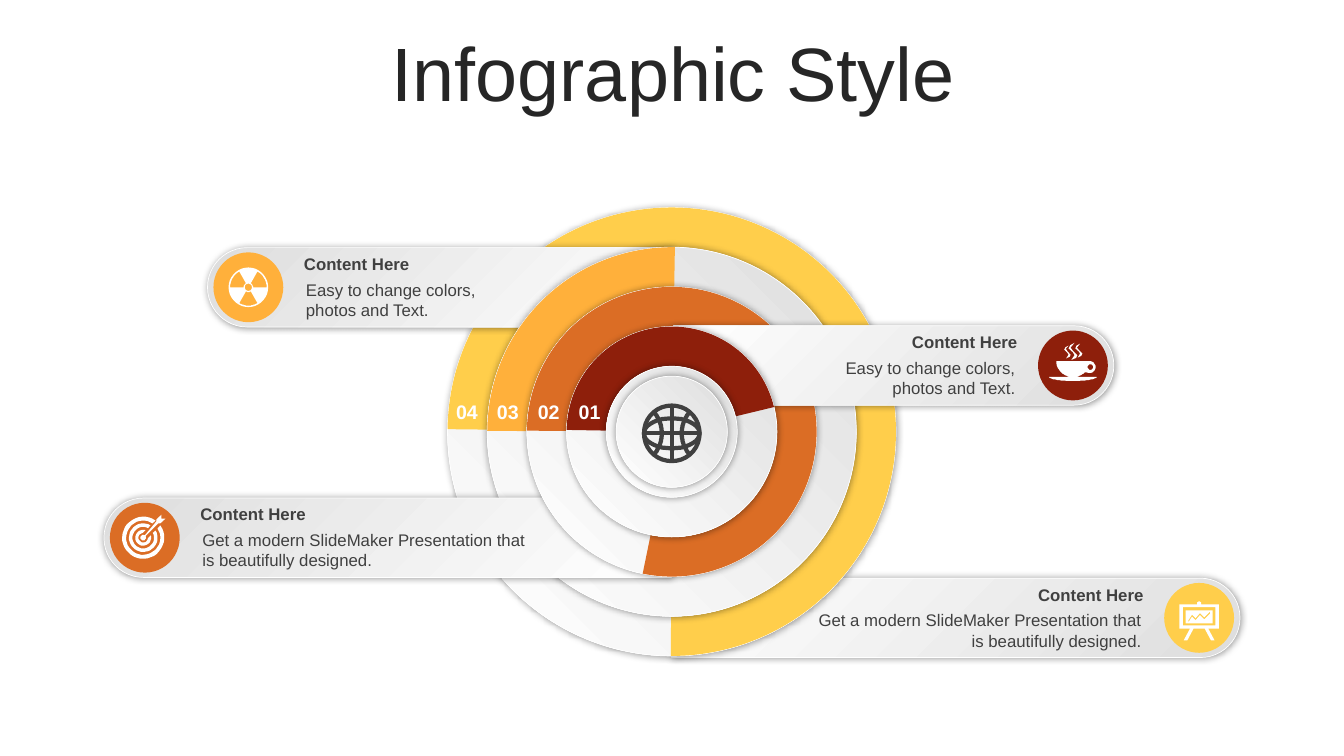
from math import asin, cos, degrees, radians, sin

from lxml.etree import SubElement
from pptx import Presentation
from pptx.dml.color import RGBColor
from pptx.enum.shapes import MSO_SHAPE
from pptx.enum.text import MSO_ANCHOR, MSO_AUTO_SIZE, PP_ALIGN
from pptx.oxml.ns import qn
from pptx.util import Cm, Pt

CENTER_X, CENTER_Y = 16.93, 10.88
RING_STEP = 2.0
PILL_HEIGHT = 2.0
BADGE_SIZE = 1.76
BADGE_INSET = 1.03
DARK, WHITE = "404040", "FFFFFF"


def paint(shape, colour=None):
    """Fill flat with a colour, or as a raised silver surface without one."""
    shape.shadow.inherit = False
    if colour:
        shape.fill.solid()
        shape.fill.fore_color.rgb = RGBColor.from_string(colour)
        shape.line.fill.background()
        return
    shape.fill.gradient()
    shape.fill.gradient_angle = 225
    for stop, stop_colour in zip(shape.fill.gradient_stops, ("DEDEDE", WHITE)):
        stop.color.rgb = RGBColor.from_string(stop_colour)
    shape.line.color.rgb = RGBColor.from_string(WHITE)
    shape.line.width = Pt(0.5)
    effects = shape._element.spPr.find(qn("a:effectLst"))
    shadow = SubElement(effects, qn("a:outerShdw"), blurRad=str(Pt(5)), dist="0", dir="0", rotWithShape="0")
    shadow_colour = SubElement(shadow, qn("a:srgbClr"), val="000000")
    SubElement(shadow_colour, qn("a:alpha"), val="40000")


def arc(x, y, radius_x, radius_y, start=0, end=360):
    """Points along an ellipse, clockwise from the right, in degrees."""
    angles = [radians(start + (end - start) * i / 36) for i in range(37)]
    return [(x + radius_x * cos(a), y + radius_y * sin(a)) for a in angles]


presentation = Presentation()
presentation.slide_width, presentation.slide_height = Cm(33.87), Cm(19.05)
slide = presentation.slides.add_slide(presentation.slide_layouts[5])
shapes = slide.shapes

# Title
title = shapes.title
title.left, title.top, title.width, title.height = Cm(0.89), Cm(0.94), Cm(32.16), Cm(2.01)
title.text_frame.text = "Infographic Style"
title.text_frame.auto_size = MSO_AUTO_SIZE.NONE
title.text_frame.vertical_anchor = MSO_ANCHOR.MIDDLE
paragraph = title.text_frame.paragraphs[0]
paragraph.alignment = PP_ALIGN.CENTER
paragraph.line_spacing = 0.9
paragraph.font.name, paragraph.font.size = "Arial", Pt(54)
paragraph.font.color.rgb = RGBColor.from_string("262626")

# Rings from outside in: number, colour, pie angles, side, pill end, pill y, pill length, icon, text width, text
LONG_TEXT = "Get a modern SlideMaker Presentation that is beautifully designed."
SHORT_TEXT = "Easy to change colors, photos and Text."
rings = [
    ("04", "FFCE4B", 180.65, 90.22, 1, 31.25, 15.57, 14.33, "board", 8.7, LONG_TEXT),
    ("03", "FFB03B", 180.27, 270.98, -1, 5.23, 7.24, 11.71, "radiation", 4.93, SHORT_TEXT),
    ("02", "DB6D25", 180.42, 101.58, -1, 2.62, 13.55, 14.3, "target", 8.7, LONG_TEXT),
    ("01", "8E1F0B", 180.98, 346.45, 1, 28.07, 9.21, 11.1, "coffee", 4.93, SHORT_TEXT),
]

# Pills and rings
for index, (number, colour, start, end, side, pill_end, y, length, *rest) in enumerate(rings):
    pill_x = pill_end - side * length / 2
    pill = shapes.add_shape(MSO_SHAPE.ROUND_2_SAME_RECTANGLE, Cm(pill_x - PILL_HEIGHT / 2),
                            Cm(y - length / 2), Cm(PILL_HEIGHT), Cm(length))
    pill.adjustments[0], pill.adjustments[1] = 0.5, 0
    pill.rotation = 90 if side > 0 else 270
    paint(pill)

    size = 11.3 - index * RING_STEP
    box = Cm(CENTER_X - size / 2), Cm(CENTER_Y - size / 2), Cm(size), Cm(size)
    paint(shapes.add_shape(MSO_SHAPE.OVAL, *box))
    pie = shapes.add_shape(MSO_SHAPE.PIE, *box)
    pie.adjustments[0], pie.adjustments[1] = start * 0.6, end * 0.6
    paint(pie, colour)

# Hub
for size in (3.3, 2.8):
    paint(shapes.add_shape(MSO_SHAPE.OVAL, Cm(CENTER_X - size / 2), Cm(CENTER_Y - size / 2), Cm(size), Cm(size)))

# Icon outlines, in hundredths of a centimetre around the icon's centre
board = [
    [(-50, -34), (-5, -34), (-5, -39), (0, -42), (5, -39), (5, -34), (50, -34), (50, 27), (23, 27),
     (39, 57), (30, 57), (14, 27), (-14, 27), (-30, 57), (-39, 57), (-23, 27), (-50, 27)],
    [(-41, -27), (41, -27), (41, 19), (-41, 19)],
    [(-34, -19), (34, -19), (34, 14), (-34, 14)],
]
trend = [(-27, 6), (-18, -8), (-9, 1), (2, -12), (13, -1), (28, -16)]
board.append(trend + [(x, y + 5) for x, y in reversed(trend)])

radiation = [arc(0, 0, 50, 50), arc(0, 0, 9, 9)]
for angle in (60, 180, 300):
    radiation.append(arc(0, 0, 46, 46, angle, angle + 60) + arc(0, 0, 12, 12, angle + 60, angle))

target = [arc(0, 0, 7, 7), [(46, -58), (46, -48), (56, -48), (43, -36), (38, -36), (6, -4),
                            (4, -6), (33, -41), (33, -46)]]
for outer, inner in ((53, 43), (36, 27), (20, 12)):
    outer_gap, inner_gap = degrees(asin(9 / outer)), degrees(asin(9 / inner))
    target.append(arc(0, 0, outer, outer, outer_gap - 45, 315 - outer_gap)
                  + arc(0, 0, inner, inner, 315 - inner_gap, inner_gap - 45))

coffee = [
    arc(42, 4, 15, 15, -90, 110) + arc(0, -11, 42, 40, 45, 180),
    arc(44, 4, 7, 7),
    arc(0, 29, 60, 10, 0, 180),
]
steam = [(4, -22), (-6, -10), (0, -2), (11, 9), (8, 16), (-4, 21), (4, 9), (0, 2), (-11, -8), (-7, -16)]
for x, y, scale in ((-14, -34, 0.75), (0, -35, 1), (15, -37, 0.8)):
    coffee.append([(x + scale * px, y + scale * py) for px, py in steam])

globe = [
    arc(0, 0, 70, 70), arc(0, 0, 70, 38), [(-70, 0), (70, 0)], [(0, -70), (0, 70)],
    arc(-106, 0, 81, 81, -40, 40), arc(106, 0, 81, 81, 140, 220),
]
outlines = {"board": board, "radiation": radiation, "target": target, "coffee": coffee, "globe": globe}

# Badges, and the place of each icon
icons = [("globe", CENTER_X, 10.92)]
texts = []
for index, (number, colour, start, end, side, pill_end, y, length, icon, width, body) in enumerate(rings):
    badge_x = pill_end - side * BADGE_INSET
    badge = shapes.add_shape(MSO_SHAPE.OVAL, Cm(badge_x - BADGE_SIZE / 2), Cm(y - BADGE_SIZE / 2),
                             Cm(BADGE_SIZE), Cm(BADGE_SIZE))
    paint(badge, colour)
    icons.append((icon, badge_x - (0.04 if icon == "target" else 0), y))

    # Text boxes: left, top, width, height, text, size, bold, colour, alignment
    align = PP_ALIGN.RIGHT if side > 0 else PP_ALIGN.LEFT
    for gap, rise, box_width, height, words, bold in ((1.2, 0.32, width, 1.28, body, False),
                                                      (1.15, 0.97, width + 0.1, 0.77, "Content Here", True)):
        left = badge_x - gap - box_width if side > 0 else badge_x + gap
        texts.append((left, y - rise, box_width, height, words, 12, bold, DARK, align))
    texts.append((11.15 + 1.03 * index, 9.96, 1.24, 0.86, number, 14, True, WHITE, PP_ALIGN.CENTER))

# Texts
for left, top, width, height, words, size, bold, colour, align in texts:
    text_frame = shapes.add_textbox(Cm(left), Cm(top), Cm(width), Cm(height)).text_frame
    text_frame.word_wrap = True
    text_frame.text = words
    paragraph = text_frame.paragraphs[0]
    paragraph.alignment = align
    paragraph.font.name, paragraph.font.size, paragraph.font.bold = "Arial", Pt(size), bold
    paragraph.font.color.rgb = RGBColor.from_string(colour)

# Icons
for icon, x, y in icons:
    stroked = icon == "globe"
    contours = outlines[icon]
    builder = shapes.build_freeform(*contours[0][0], scale=Cm(0.01))
    for contour in contours:
        builder.move_to(*contour[0])
        builder.add_line_segments(contour[1:], close=not stroked)
    shape = builder.convert_to_shape(Cm(x), Cm(y))
    paint(shape, WHITE)
    if stroked:
        shape.fill.background()
        shape.line.color.rgb = RGBColor.from_string(DARK)
        shape.line.width = Pt(3)

presentation.save("out.pptx")
